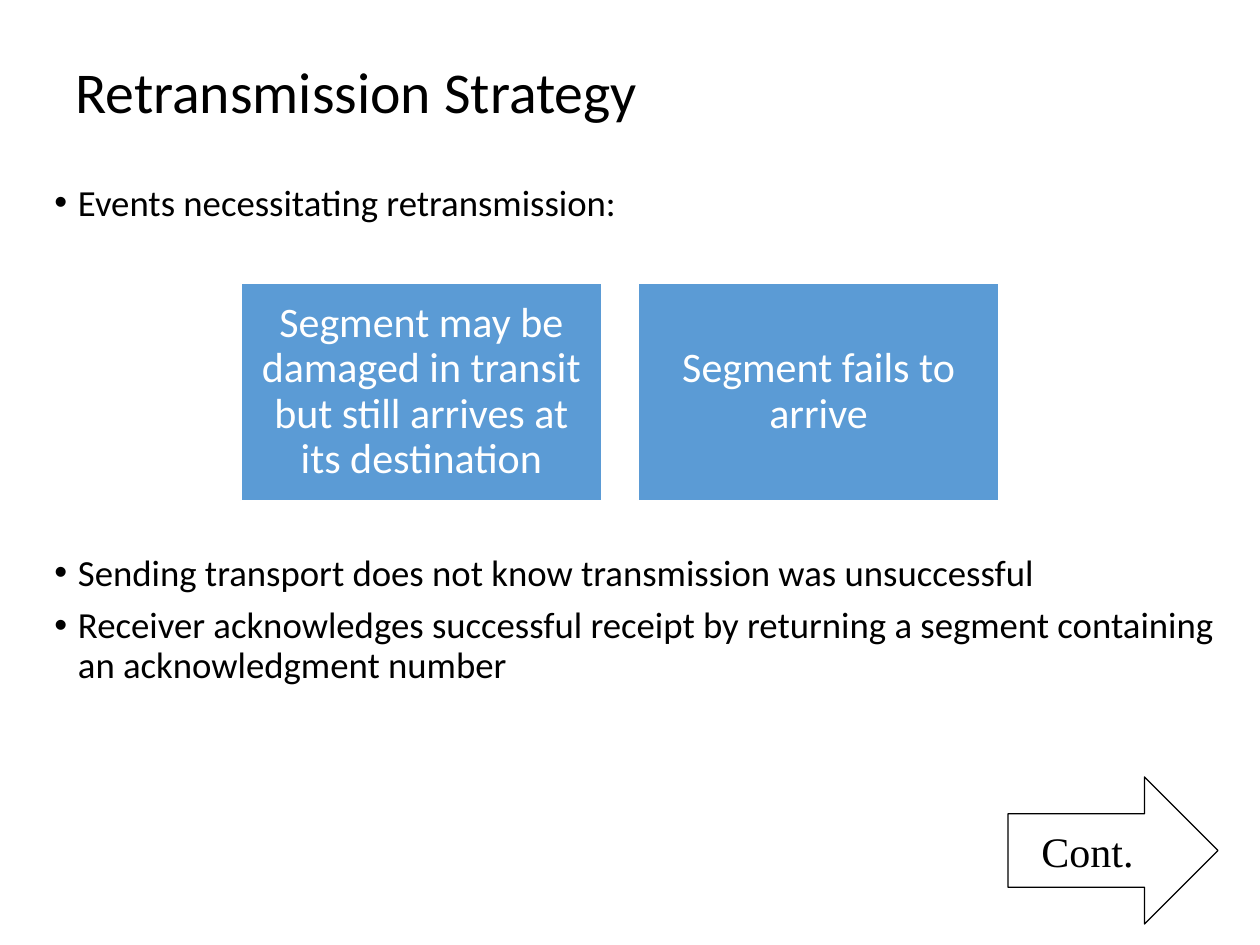
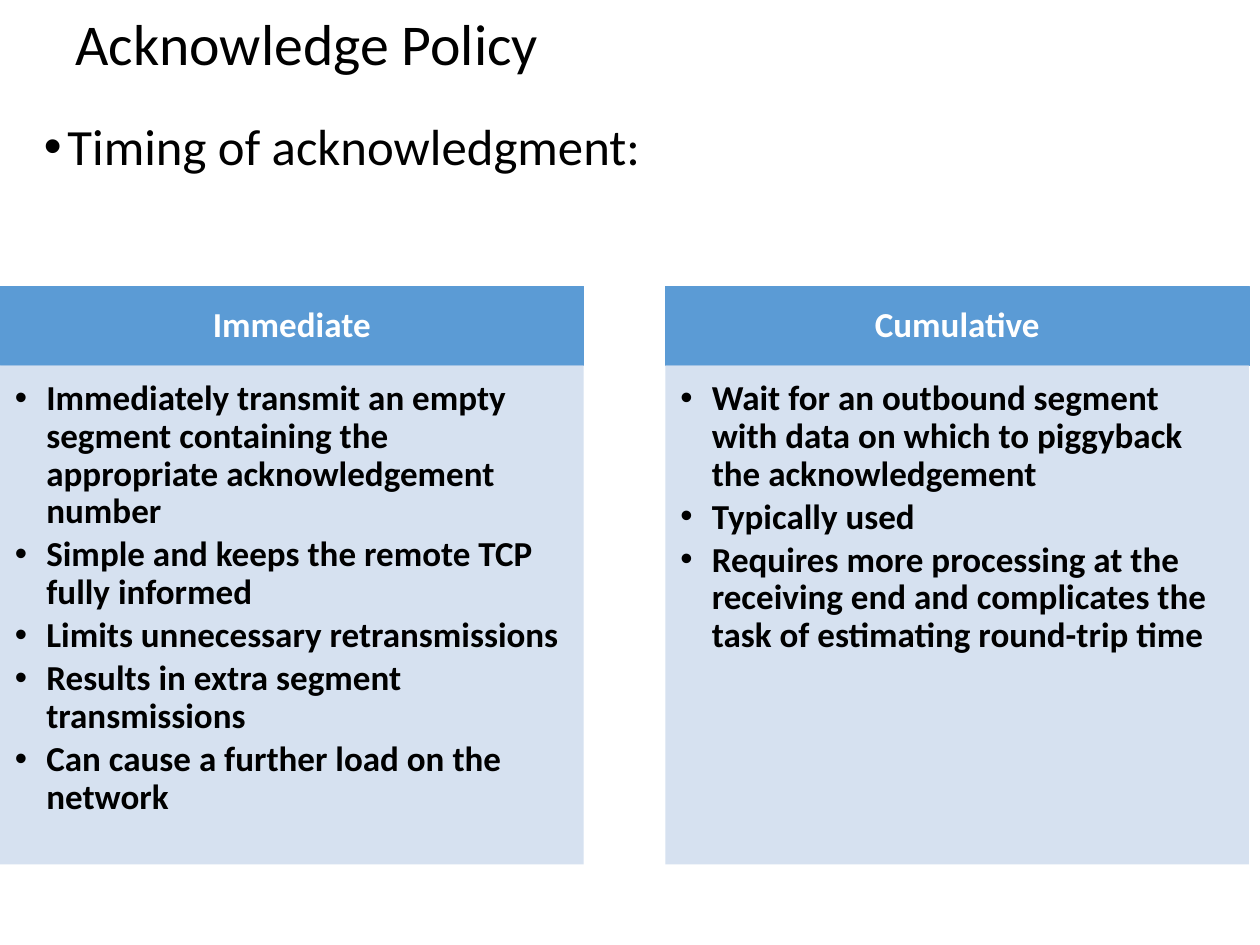
from dataclasses import dataclass

from lxml.etree import SubElement
from pptx import Presentation
from pptx.dml.color import RGBColor
from pptx.enum.shapes import MSO_SHAPE
from pptx.enum.text import MSO_ANCHOR, PP_ALIGN
from pptx.oxml.ns import qn
from pptx.shapes.autoshape import Shape
from pptx.slide import Slide
from pptx.util import Pt

BLACK = "000000"
WHITE = "FFFFFF"
BLUE = "5B9BD5"
PALE_BLUE = "D2DEEF"
BODY_FONT = "Calibri"
DEFAULT_INSETS = (7.2, 3.6, 7.2, 3.6)


@dataclass(frozen=True)
class Box:
    left: float
    top: float
    width: float
    height: float


@dataclass(frozen=True)
class Policy:
    name: str
    points: list[str]


EVENTS = [
    "Segment may be damaged in transit but still arrives at its destination",
    "Segment fails to arrive",
]
POLICIES = [
    Policy("Immediate", [
        "Immediately transmit an empty segment containing the appropriate acknowledgement number",
        "Simple and keeps the remote TCP fully informed",
        "Limits unnecessary retransmissions",
        "Results in extra segment transmissions",
        "Can cause a further load on the network",
    ]),
    Policy("Cumulative", [
        "Wait for an outbound segment with data on which to piggyback the acknowledgement",
        "Typically used",
        "Requires more processing at the receiving end and complicates the task of estimating round-trip time",
    ]),
]


def color(value: str) -> RGBColor:
    return RGBColor.from_string(value)


def add_bullet(paragraph, indent: float) -> None:
    properties = paragraph._p.get_or_add_pPr()
    properties.set("marL", str(Pt(indent)))
    properties.set("indent", str(-Pt(indent)))
    SubElement(properties, qn("a:buFont")).set("typeface", "Arial")
    SubElement(properties, qn("a:buChar")).set("char", "•")


def write_text(shape: Shape, *texts: str, size: float, font: str = BODY_FONT,
               text_color: str = BLACK, bold: bool = False,
               align: PP_ALIGN = PP_ALIGN.LEFT, anchor: MSO_ANCHOR = MSO_ANCHOR.TOP,
               insets: tuple = DEFAULT_INSETS, line_spacing: float = 0.9,
               before: float = 0, after: float = 0, bullet_indent: float = 0,
               wrap: bool = True) -> None:
    frame = shape.text_frame
    frame.word_wrap = wrap
    frame.vertical_anchor = anchor
    frame.margin_left, frame.margin_top, frame.margin_right, frame.margin_bottom = map(Pt, insets)
    for index, text in enumerate(texts):
        paragraph = frame.add_paragraph() if index else frame.paragraphs[0]
        paragraph.alignment = align
        paragraph.line_spacing = line_spacing
        paragraph.space_before = Pt(before)
        paragraph.space_after = Pt(after)
        if bullet_indent:
            add_bullet(paragraph, bullet_indent)
        run = paragraph.add_run()
        run.text = text
        run.font.name = font
        run.font.size = Pt(size)
        run.font.bold = bold
        run.font.color.rgb = color(text_color)


def add_text(slide: Slide, box: Box, *texts: str, **text_format) -> None:
    shape = slide.shapes.add_textbox(Pt(box.left), Pt(box.top), Pt(box.width), Pt(box.height))
    write_text(shape, *texts, **text_format)


def add_block(slide: Slide, kind: MSO_SHAPE, box: Box, fill: str = "", line: str = "",
              line_width: float = 1, opacity: int = 100) -> Shape:
    shape = slide.shapes.add_shape(kind, Pt(box.left), Pt(box.top), Pt(box.width), Pt(box.height))
    shape.shadow.inherit = False
    if fill:
        shape.fill.solid()
        shape.fill.fore_color.rgb = color(fill)
        if opacity < 100:
            fill_color = shape.fill._xPr.find(".//" + qn("a:srgbClr"))
            SubElement(fill_color, qn("a:alpha")).set("val", str(opacity * 1000))
    else:
        shape.fill.background()
    if line:
        shape.line.color.rgb = color(line)
        shape.line.width = Pt(line_width)
    else:
        shape.line.fill.background()
    return shape


def add_title(slide: Slide, text: str, top: float, height: float) -> None:
    add_text(slide, Box(36, top, 648, height), text, size=33, anchor=MSO_ANCHOR.MIDDLE)


def add_body(slide: Slide, box: Box, *texts: str, size: float) -> None:
    add_text(slide, box, *texts, size=size, before=7.5, bullet_indent=13.5)


def build_retransmission(slide: Slide) -> None:
    add_title(slide, "Retransmission Strategy", 18, 72)
    add_body(slide, Box(24, 102, 678, 36), "Events necessitating retransmission:", size=21)
    add_body(slide, Box(24, 313.25, 678, 100),
             "Sending transport does not know transmission was unsuccessful",
             "Receiver acknowledges successful receipt by returning a segment containing an acknowledgment number",
             size=21)
    add_block(slide, MSO_SHAPE.RIGHT_ARROW, Box(576, 444, 120, 84), line=BLACK, line_width=0.75)
    add_text(slide, Box(588, 468, 67.5, 36.5), "Cont.", size=24,
             font="Times New Roman", line_spacing=1, wrap=False)
    for index, event in enumerate(EVENTS):
        block = add_block(slide, MSO_SHAPE.RECTANGLE,
                          Box(137.5 + index * 227, 162, 206.5, 124), fill=BLUE, line=WHITE)
        write_text(block, event, size=24, text_color=WHITE, align=PP_ALIGN.CENTER,
                   anchor=MSO_ANCHOR.MIDDLE, insets=(7.2,) * 4)


def build_acknowledge(slide: Slide) -> None:
    add_title(slide, "Acknowledge Policy", -18, 90)
    add_body(slide, Box(18, 66, 684, 48), "Timing of acknowledgment:", size=29)
    for index, policy in enumerate(POLICIES):
        left = index * 380.25
        header = add_block(slide, MSO_SHAPE.RECTANGLE, Box(left, 163.5, 333.5, 45.25),
                           fill=BLUE, line=BLUE, line_width=0.5)
        write_text(header, policy.name, size=20, text_color=WHITE, bold=True,
                   align=PP_ALIGN.CENTER, anchor=MSO_ANCHOR.MIDDLE, insets=(11.5, 6.5, 11.5, 6.5))
        panel = add_block(slide, MSO_SHAPE.RECTANGLE, Box(left, 208.75, 333.5, 285.25),
                          fill=PALE_BLUE, opacity=90)
        write_text(panel, *policy.points, size=20, bold=True, after=3, bullet_indent=18,
                   insets=(8.5, 8.5, 11.5, 12.5))


def main() -> None:
    presentation = Presentation()
    presentation.slide_width = Pt(720)
    presentation.slide_height = Pt(540)
    blank_layout = presentation.slide_layouts[6]
    for build in (build_retransmission, build_acknowledge):
        build(presentation.slides.add_slide(blank_layout))
    presentation.save("out.pptx")


if __name__ == "__main__":
    main()
